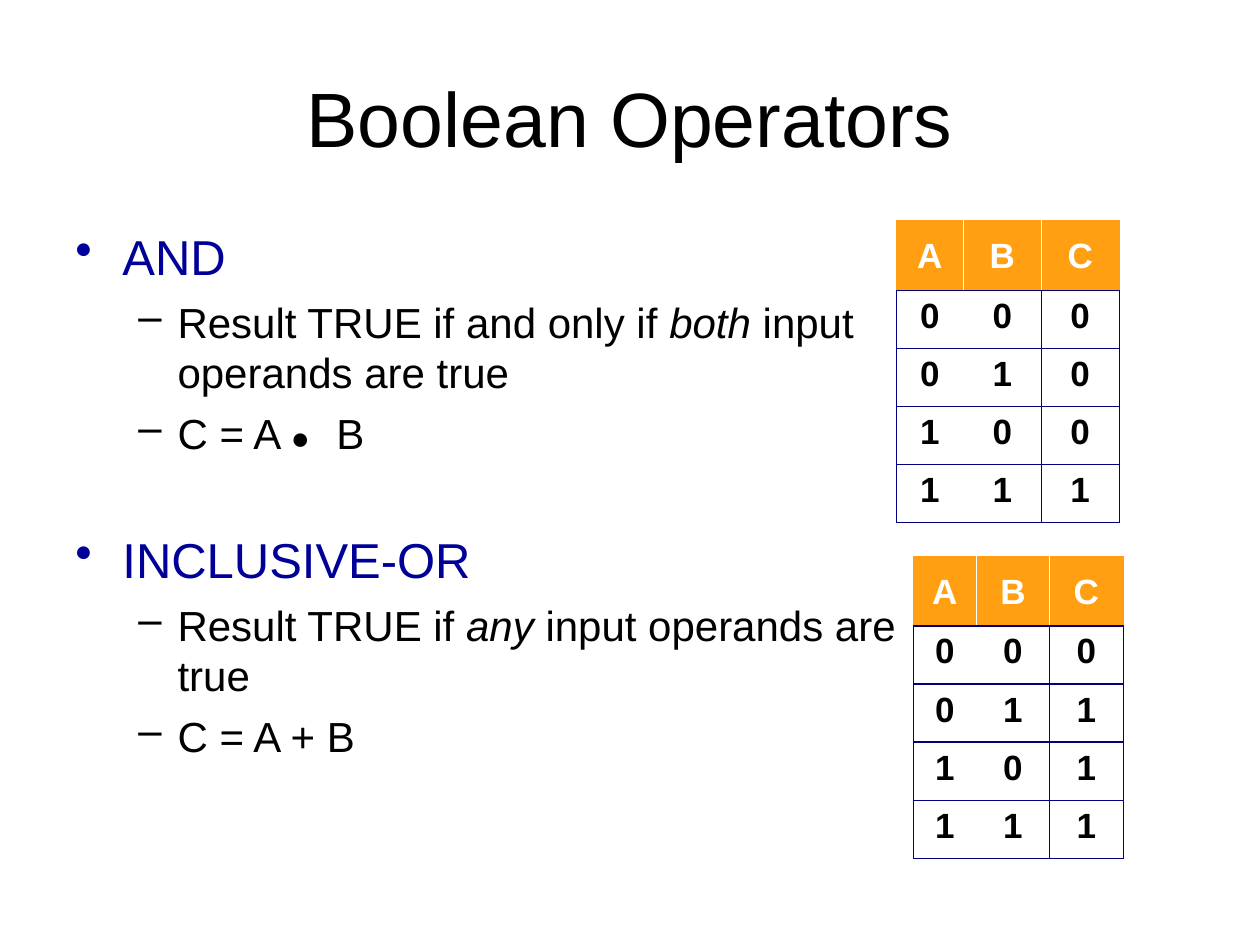
"""Build a slide on the AND and INCLUSIVE-OR Boolean operators."""
from lxml.etree import SubElement
from pptx import Presentation
from pptx.dml.color import RGBColor
from pptx.enum.text import MSO_ANCHOR as Anchor, PP_ALIGN as Align
from pptx.oxml.ns import qn
from pptx.util import Cm, Pt

BLACK = RGBColor(0x00, 0x00, 0x00)
WHITE = RGBColor(0xFF, 0xFF, 0xFF)
BLUE = RGBColor(0x00, 0x00, 0x99)
NAVY = RGBColor(0x00, 0x00, 0x80)
ORANGE = RGBColor(0xFF, 0x9F, 0x11)

TITLE_FONT = {"name": "Arial", "size": Pt(44)}
HEADING_FONT = {"name": "Arial", "size": Pt(28)}
DETAIL_FONT = {"name": "Arial", "size": Pt(24)}
CELL_FONT = {"name": "Arial", "size": Pt(20), "bold": True}
ITALIC = {"italic": True}
SMALL = {"size": Pt(18)}

HEADING = {"level": 0, "margin": Cm(0.95), "hang": Cm(0.95), "char": "•",
           "color": BLUE, "font": HEADING_FONT}
DETAIL = {"level": 1, "margin": Cm(2.06), "hang": Cm(0.79), "char": "–",
          "color": BLACK, "font": DETAIL_FONT}

BODY = [
    (HEADING, 0, [("AND", {})]),
    (DETAIL, 6, [("Result TRUE if and only if ", {}), ("both", ITALIC),
                 (" input operands are true", {})]),
    (DETAIL, 6, [("C = A ", {}), ("●", SMALL), (" \tB", {})]),
    (HEADING, 41, [("INCLUSIVE-OR", {})]),
    (DETAIL, 6, [("Result TRUE if ", {}), ("any", ITALIC),
                 (" input operands are true", {})]),
    (DETAIL, 6, [("C = A + B", {})]),
]


def add_span(para, text, font, color):
    """Append a run of text with the given font values."""
    span = para.add_run()
    span.text = text
    for name, value in font.items():
        setattr(span.font, name, value)
    span.font.color.rgb = color


def add_box(slide, left, top, width, height, anchor):
    """Add a wrapping text box and return its text frame."""
    frame = slide.shapes.add_textbox(left, top, width, height).text_frame
    frame.word_wrap = True
    frame.vertical_anchor = anchor
    return frame


def set_bullet(para, style):
    """Give a paragraph its hanging bullet and the tab stop for formulas."""
    properties = para._p.get_or_add_pPr()
    properties.set("marL", str(style["margin"]))
    properties.set("indent", str(-style["hang"]))
    color = SubElement(properties, qn("a:buClr"))
    SubElement(color, qn("a:srgbClr"), val=str(style["color"]))
    SubElement(properties, qn("a:buChar"), char=style["char"])
    tabs = SubElement(properties, qn("a:tabLst"))
    SubElement(tabs, qn("a:tab"), pos=str(Cm(5.26)), algn="l")


def add_title(slide, text):
    """Add the centred slide title."""
    frame = add_box(slide, Cm(1.27), Cm(0.76), Cm(22.86), Cm(3.18), Anchor.MIDDLE)
    para = frame.paragraphs[0]
    para.alignment = Align.CENTER
    add_span(para, text, TITLE_FONT, BLACK)


def add_body(slide, items):
    """Add the bulleted explanations of the operators."""
    frame = add_box(slide, Cm(1.27), Cm(4.45), Cm(17.04), Cm(12.57), Anchor.TOP)
    for index, (style, space, spans) in enumerate(items):
        para = frame.add_paragraph() if index else frame.paragraphs[0]
        para.level = style["level"]
        set_bullet(para, style)
        para.space_before = Pt(space)
        for text, changes in spans:
            add_span(para, text, {**style["font"], **changes}, style["color"])


def set_borders(cell, colors):
    """Draw the left, right, top and bottom borders; None leaves one out."""
    properties = cell._tc.get_or_add_tcPr()
    for side, color in zip("LRTB", colors):
        line = SubElement(properties, qn(f"a:ln{side}"), w=str(Pt(0.75)))
        if color is None:
            SubElement(line, qn("a:noFill"))
        else:
            fill = SubElement(line, qn("a:solidFill"))
            SubElement(fill, qn("a:srgbClr"), val=str(color))


def fill_cell(cell, text, row, column):
    """Write one cell of a truth table, styled by its row and column."""
    para = cell.text_frame.paragraphs[0]
    para.alignment = Align.CENTER
    if row == 0:
        edges = [ORANGE, WHITE, WHITE, ORANGE]
        set_borders(cell, (edges[column], edges[column + 1], ORANGE, NAVY))
        cell.fill.solid()
        cell.fill.fore_color.rgb = ORANGE
        para.line_spacing = 1.25
    else:
        edges = [NAVY, None, NAVY, NAVY]
        set_borders(cell, (edges[column], edges[column + 1], NAVY, NAVY))
        cell.fill.background()
    add_span(para, text, CELL_FONT, BLACK if row else WHITE)


def add_truth_table(slide, left, top, widths, operator):
    """Add the truth table of a two-input operator."""
    inputs = [(a, b) for a in (0, 1) for b in (0, 1)]
    rows = ["ABC"] + [(a, b, operator(a, b)) for a, b in inputs]
    heights = [Cm(1.4)] + [Cm(1.17)] * len(inputs)
    table = slide.shapes.add_table(len(rows), len(widths), left, top,
                                   sum(widths), sum(heights)).table
    table.horz_banding = False
    for column, width in zip(table.columns, widths):
        column.width = width
    for row, height in zip(table.rows, heights):
        row.height = height
    for row, values in enumerate(rows):
        for column, value in enumerate(values):
            fill_cell(table.cell(row, column), str(value), row, column)


def main():
    """Build the deck and save it."""
    deck = Presentation()
    deck.slide_width, deck.slide_height = Cm(25.4), Cm(19.05)
    slide = deck.slides.add_slide(deck.slide_layouts[6])
    add_title(slide, "Boolean Operators")
    add_body(slide, BODY)
    add_truth_table(slide, Cm(18.07), Cm(4.45), [Cm(1.35), Cm(1.57), Cm(1.57)],
                    lambda a, b: a & b)
    add_truth_table(slide, Cm(18.41), Cm(11.22), [Cm(1.27), Cm(1.48), Cm(1.48)],
                    lambda a, b: a | b)
    deck.save("out.pptx")


if __name__ == "__main__":
    main()
